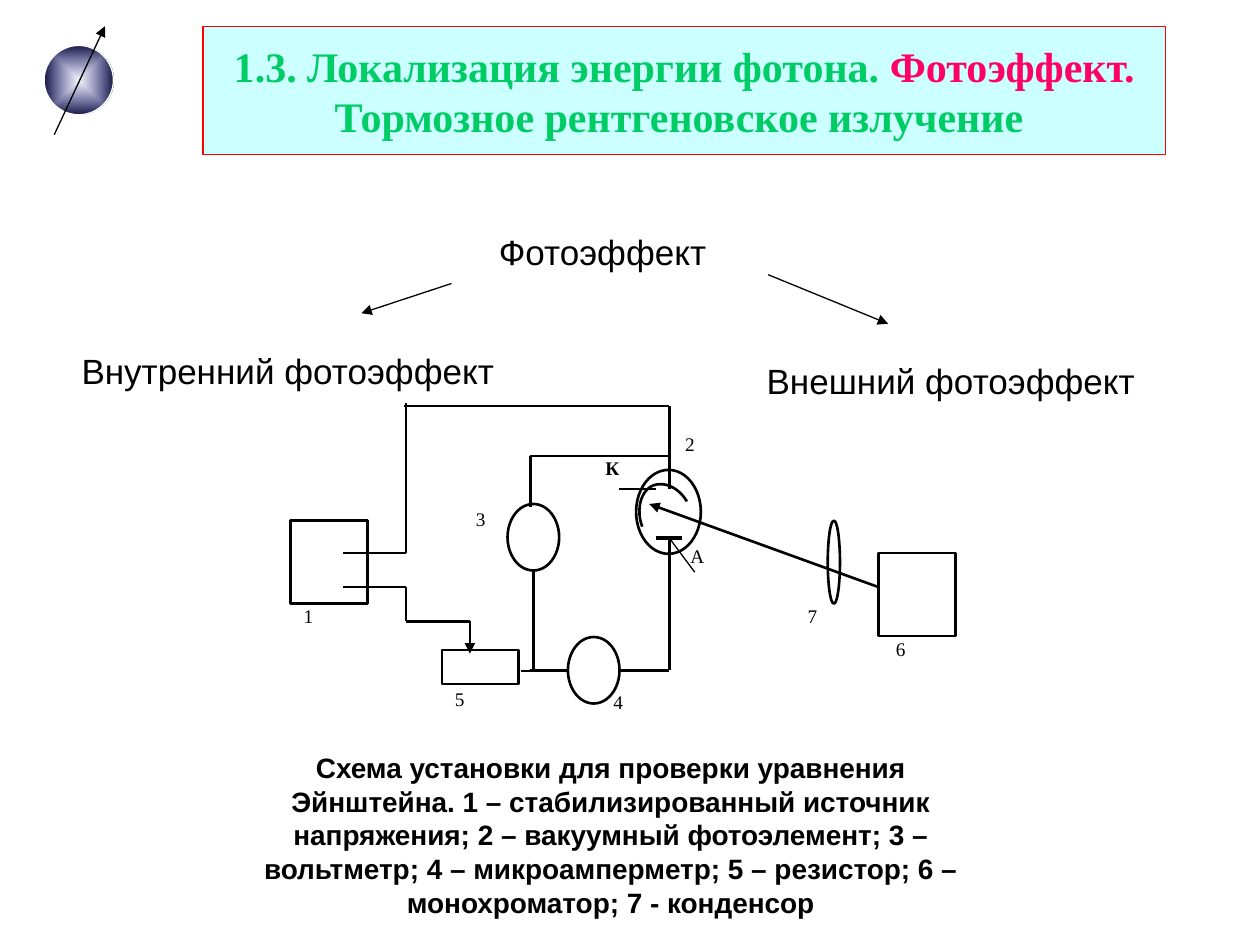
from pptx import Presentation
from pptx.dml.color import RGBColor
from pptx.enum import shapes, text
from pptx.oxml import parse_xml
from pptx.oxml import ns
from pptx.util import Pt

rgb = RGBColor.from_string
SERIF, SANS = "Times New Roman", "Arial"
CENTER = text.PP_ALIGN.CENTER


def write(sp, s, size=11, font=SERIF, color="000000", bold=False,
          align=text.PP_ALIGN.LEFT, inset=(0, 0), anchor=text.MSO_ANCHOR.TOP, wrap=True):
    """Append a run to the first paragraph of sp and format its frame."""
    tf = sp.text_frame
    tf.auto_size = text.MSO_AUTO_SIZE.NONE
    tf.word_wrap = wrap
    tf.vertical_anchor = anchor
    tf.margin_left = tf.margin_right = Pt(inset[0])
    tf.margin_top = tf.margin_bottom = Pt(inset[1])
    p = tf.paragraphs[0]
    p.alignment = align
    r = p.add_run()
    r.text = s
    r.font.size, r.font.name, r.font.bold = Pt(size), font, bold
    r.font.color.rgb = rgb(color)


def draw_line(x1, y1, x2, y2, width=1.5, arrow=False):
    ln = slide.shapes.add_connector(
        shapes.MSO_CONNECTOR.STRAIGHT, Pt(x1), Pt(y1), Pt(x2), Pt(y2))
    ln.line.color.rgb = rgb("000000")
    ln.line.width = Pt(width)
    spPr = ln._element.spPr
    if arrow:
        spPr.find(ns.qn("a:ln")).append(
            parse_xml(f'<a:tailEnd {ns.nsdecls("a")} type="triangle"/>'))
    spPr.append(parse_xml(f'<a:effectLst {ns.nsdecls("a")}/>'))


prs = Presentation()
prs.slide_width, prs.slide_height = Pt(720), Pt(540)
slide = prs.slides.add_slide(prs.slide_layouts[5])

# Title
title = slide.shapes.title
title.left, title.top, title.width, title.height = Pt(116), Pt(15), Pt(550), Pt(73.5)
title.fill.solid()
title.fill.fore_color.rgb = rgb("CCFFFF")
title.line.color.rgb = rgb("FF0000")
title.line.width = Pt(0.75)
for s, color in [
    ("1.3. Локализация энергии фотона. ", "00CC66"),
    ("Фотоэффект.", "FF0066"),
    (" Тормозное рентгеновское излучение ", "00CC66"),
]:
    write(title, s, size=24, color=color, bold=True, align=CENTER,
          inset=(7.2, 3.6), anchor=text.MSO_ANCHOR.MIDDLE)

# Sphere with its spin arrow
sphere = slide.shapes.add_shape(
    shapes.MSO_SHAPE.OVAL, Pt(25.2), Pt(26), Pt(39.6), Pt(39.6))
sphere.shadow.inherit = False
sphere.line.color.rgb = rgb("FFFFFF")
sphere.line.width = Pt(0.75)
sphere.fill.gradient()
spPr = sphere._element.spPr
spPr.replace(spPr.find(ns.qn("a:gradFill")), parse_xml(
    f'<a:gradFill {ns.nsdecls("a")}><a:gsLst>'
    '<a:gs pos="0"><a:srgbClr val="333399"><a:alpha val="5000"/></a:srgbClr></a:gs>'
    '<a:gs pos="100000"><a:srgbClr val="171746"/></a:gs></a:gsLst>'
    '<a:path path="rect"><a:fillToRect l="50000" t="50000" r="50000" b="50000"/>'
    '</a:path></a:gradFill>'))
draw_line(31, 77, 60, 15, 0.75, arrow=True)

# Two kinds of photoeffect
for s, x, y, w in [
    ("Фотоэффект", 278, 128, 139),
    ("Внешний фотоэффект", 431, 201.5, 230.5),
    ("Внутренний фотоэффект", 39.5, 196, 256),
]:
    box = slide.shapes.add_textbox(Pt(x), Pt(y), Pt(w), Pt(31.5))
    write(box, s, size=20, font=SANS, inset=(7.2, 3.6),
          anchor=text.MSO_ANCHOR.MIDDLE, wrap=False)
draw_line(258, 162, 206.5, 179, 0.75, arrow=True)
draw_line(439, 157, 507.5, 185, 0.75, arrow=True)

# Labels of the circuit
for s, x, y, w, h in [
    ("6", 512, 364, 22, 38),
    ("7", 461.5, 345.5, 22, 29),
    ("A", 394.5, 311, 29, 28),
    ("К", 339, 260.5, 22, 29),
    ("3", 272, 290, 17, 22),
    ("4", 350.5, 394.5, 22, 29),
    ("5", 260, 392.5, 22, 29),
    ("1", 173.5, 345.5, 22, 29),
    ("2", 391.5, 247, 23, 23),
]:
    label = slide.shapes.add_textbox(Pt(x), Pt(y), Pt(w), Pt(h))
    label.fill.solid()
    label.fill.fore_color.rgb = rgb("FFFFFF")
    cathode_label = s == "К"
    write(label, s, bold=cathode_label,
          align=CENTER if cathode_label else text.PP_ALIGN.LEFT)

# Devices
RECT, OVAL = shapes.MSO_SHAPE.RECTANGLE, shapes.MSO_SHAPE.OVAL
for kind, x, y, w, h in [
    (RECT, 166, 297.5, 44, 47.5),      # voltage source
    (OVAL, 363.5, 268.5, 37, 48),      # photocell
    (OVAL, 324.5, 364, 29.5, 38),      # microammeter
    (OVAL, 290, 288, 29.5, 38),        # voltmeter
    (RECT, 252.5, 371.5, 44, 19.5),    # resistor
    (RECT, 502, 316, 44, 47.5),        # monochromator
    (OVAL, 473, 297.5, 7, 47.5),       # condenser
]:
    device = slide.shapes.add_shape(kind, Pt(x), Pt(y), Pt(w), Pt(h))
    device.shadow.inherit = False
    device.fill.solid()
    device.fill.fore_color.rgb = rgb("FFFFFF")
    device.line.color.rgb = rgb("000000")
    device.line.width = Pt(1.5)

# Curved cathode, sampled from two Bezier arcs
STEPS = 12
arcs = [
    [(392.5, 286.5), (387.5, 278), (378.5, 274.5), (372, 278)],
    [(372, 278), (366, 281.5), (363.5, 291.5), (367, 301)],
]
points = []
for arc in arcs:
    for i in range(1, STEPS + 1):
        t = i / STEPS
        weights = [(1 - t) ** 3, 3 * t * (1 - t) ** 2, 3 * t ** 2 * (1 - t), t ** 3]
        points.append([Pt(sum(k * pt[axis] for k, pt in zip(weights, arc)))
                       for axis in (0, 1)])
fb = slide.shapes.build_freeform(Pt(392.5), Pt(286.5))
fb.add_line_segments(points, close=False)
cathode = fb.convert_to_shape()
cathode.shadow.inherit = False
cathode.fill.background()
cathode.line.color.rgb = rgb("000000")
cathode.line.width = Pt(1.5)

# Wires
for wire in [
    (196, 316, 232, 316),
    (196, 335.5, 232, 335.5),
    (232, 316, 232, 230.5),
    (231, 232, 382.5, 232),
    (382.5, 232, 382.5, 279.5),
    (383, 260.5, 303, 260.5),
    (303, 260.5, 303, 289.5),
    (305, 326, 305, 383.5),
    (305, 383.5, 297.5, 383.5),
    (324.5, 383, 303, 383),
    (353.5, 383, 382.5, 383),
    (382.5, 383, 382.5, 307.5),
    (232, 335.5, 232, 355),
    (232, 355, 268.5, 355),
]:
    draw_line(*wire)
draw_line(268.5, 355, 268.5, 373.5, 0.75, arrow=True)

# Anode, pointers to the electrodes, light ray
draw_line(375, 307.5, 389.5, 307.5, 2.25)
draw_line(397, 327, 382.5, 307.5, 0.75)
draw_line(353.5, 279.5, 375, 279.5, 0.75)
draw_line(502, 335.5, 371, 288, arrow=True)

# Caption
caption = slide.shapes.add_textbox(Pt(144.5), Pt(429), Pt(409), Pt(96))
caption.fill.solid()
caption.fill.fore_color.rgb = rgb("FFFFFF")
write(caption, "Схема установки для проверки уравнения Эйнштейна. "
      "1 – стабилизированный источник напряжения; 2 – вакуумный фотоэлемент; "
      "3 – вольтметр; 4 – микроамперметр; 5 – резистор; 6 – монохроматор; "
      "7 - конденсор", size=16, font=SANS, bold=True, align=CENTER)

prs.save("out.pptx")
